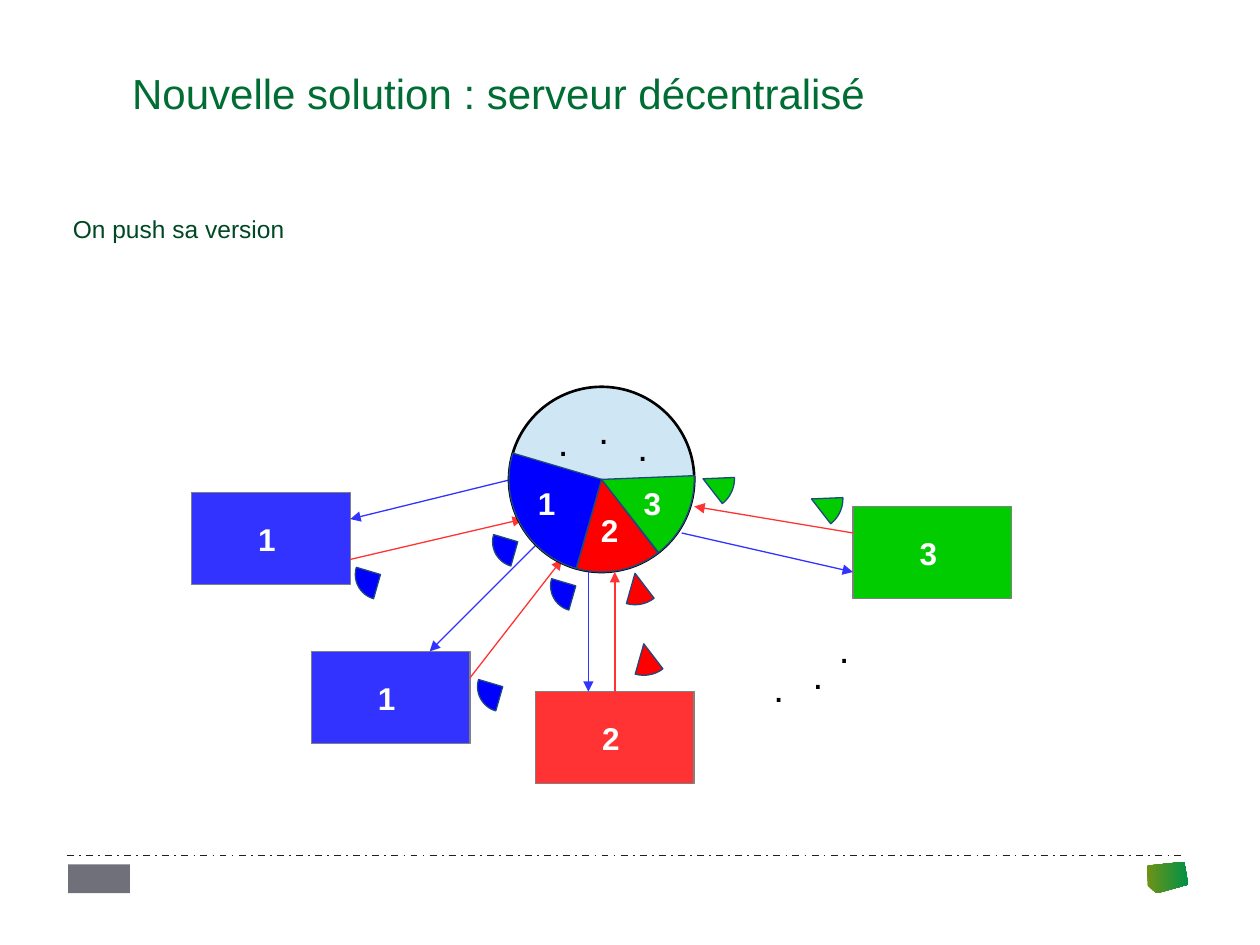
import pptx
import pptx.util
import pptx.dml.color
import pptx.enum.dml
import pptx.enum.shapes
import pptx.oxml.ns
import lxml.etree

Inches = pptx.util.Inches
Shapes = pptx.enum.shapes.MSO_SHAPE

COLORS = {
    "title": "006D34", "body": "004823", "white": "FFFFFF", "black": "000000",
    "push": "FF3333", "pull": "3333FF", "border": "808080", "slice_line": "1F497D",
    "server": "CFE7F5", "rule": "231F20", "logo": "70707A",
    "olive": "709216", "green": "009146",
}
CLIENT_FILLS = {"1": "3333FF", "2": "FF3333", "3": "00CC00"}
SLICE_FILLS = {"1": "0000FF", "2": "FF0000", "3": "00CC00"}
SLICE_ANGLES = {"1": (105.99, 196.48), "2": (52.59, 105.76), "3": (357.72, 52.13)}
DEGREE = 0.6
LABEL_FORMAT = {"size": pptx.util.Pt(18), "bold": True}
DOT_FORMAT = {"size": pptx.util.Pt(22)}


def rgb(hex_string):
    """Return a colour object for a hex string."""
    return pptx.dml.color.RGBColor.from_string(hex_string)


def add_text(slide, box, text, color, font_format, inset=0.05, line_spacing=None):
    """Place one paragraph of Arial text in a box."""
    frame = slide.shapes.add_textbox(*map(Inches, box)).text_frame
    frame_format = {
        "word_wrap": True, "margin_left": Inches(0.1), "margin_right": Inches(0.1),
        "margin_top": Inches(inset), "margin_bottom": Inches(inset),
    }
    for name, value in frame_format.items():
        setattr(frame, name, value)
    paragraph = frame.paragraphs[0]
    paragraph.line_spacing = line_spacing
    run = paragraph.add_run()
    run.text = text
    for name, value in {"name": "Arial", **font_format}.items():
        setattr(run.font, name, value)
    run.font.color.rgb = rgb(color)


def add_block(slide, kind, box, fill, line=None, width=0.75):
    """Add a filled preset shape with an optional outline."""
    shape = slide.shapes.add_shape(kind, *map(Inches, box))
    shape.shadow.inherit = False
    shape.fill.solid()
    shape.fill.fore_color.rgb = rgb(fill)
    if line:
        shape.line.color.rgb = rgb(line)
        shape.line.width = pptx.util.Pt(width)
    else:
        shape.line.fill.background()
    return shape


def add_line(slide, start, end, color, width=0.75, arrow=True):
    """Add a straight line, with an arrowhead at its end if asked."""
    connector = slide.shapes.add_connector(
        pptx.enum.shapes.MSO_CONNECTOR.STRAIGHT, *map(Inches, (*start, *end)))
    connector.line.color.rgb = rgb(color)
    connector.line.width = pptx.util.Pt(width)
    if arrow:
        outline = connector.line._get_or_add_ln()
        lxml.etree.SubElement(outline, pptx.oxml.ns.qn("a:tailEnd"), type="triangle")
    lxml.etree.SubElement(connector._element.spPr, pptx.oxml.ns.qn("a:effectLst"))
    return connector


def add_slice(slide, left, top, size, number):
    """Add the pie slice that belongs to a version number."""
    shape = add_block(slide, Shapes.PIE, (left, top, size, size),
                      SLICE_FILLS[number], COLORS["slice_line"])
    for index, angle in enumerate(SLICE_ANGLES[number]):
        shape.adjustments[index] = angle * DEGREE


def add_label(slide, left, top, number):
    """Add a bold white version number."""
    add_text(slide, (left, top, 0.31, 0.5), number, COLORS["white"], LABEL_FORMAT, 0.1)


def add_dots(slide, left, top, offsets):
    """Add three dots that stand for further parts."""
    for dx, dy in offsets:
        add_text(slide, (left + dx, top + dy, 0.31, 0.58), ".", COLORS["black"], DOT_FORMAT)


def add_client(slide, left, top, number, push, pull, slices):
    """Draw a client with its push and pull arrows and travelling slices."""
    add_block(slide, Shapes.RECTANGLE, (left, top, 1.26, 0.73),
              CLIENT_FILLS[number], COLORS["border"])
    add_label(slide, left + 0.43, top + 0.12, number)
    for ends, color in ((push, "push"), (pull, "pull")):
        start, end = [(left + dx, top + dy) for dx, dy in ends]
        add_line(slide, start, end, COLORS[color])
    size = 0.4 if number == "1" else 0.5
    for dx, dy in slices:
        add_slice(slide, left + dx, top + dy, size, number)


def add_server(slide, left, top, size):
    """Draw the round server with its three versions."""
    add_block(slide, Shapes.OVAL, (left, top, size, size),
              COLORS["server"], COLORS["black"], 1.5)
    add_dots(slide, left, top, ((0.29, 0.2), (0.61, 0.1), (0.92, 0.24)))
    for number in SLICE_ANGLES:
        add_slice(slide, left, top, size, number)
    for number, dx, dy in (("1", 0.13, 0.67), ("2", 0.63, 0.89), ("3", 0.97, 0.67)):
        add_label(slide, left + dx, top + dy, number)


def add_footer(slide, left, top, width):
    """Draw the dashed rule, the logo block and the green corner mark."""
    rule = add_line(slide, (left, top), (left + width, top), COLORS["rule"], 1, False)
    rule.line.dash_style = pptx.enum.dml.MSO_LINE.DASH_DOT
    add_block(slide, Shapes.RECTANGLE, (left + 0.01, top + 0.07, 0.49, 0.23), COLORS["logo"])
    outline = [(Inches(left + dx), Inches(top + dy)) for dx, dy in (
        (8.87, 0.05), (8.57, 0.08), (8.58, 0.24), (8.65, 0.3), (8.9, 0.23))]
    builder = slide.shapes.build_freeform(*outline[0])
    builder.add_line_segments(outline[1:], close=True)
    mark = builder.convert_to_shape()
    mark.shadow.inherit = False
    mark.line.fill.background()
    mark.fill.gradient()
    mark.fill.gradient_angle = 0
    for stop, color in zip(mark.fill.gradient_stops, ("olive", "green")):
        stop.color.rgb = rgb(COLORS[color])


def main():
    """Build the slide and save it."""
    presentation = pptx.Presentation()
    presentation.slide_width, presentation.slide_height = Inches(10), Inches(7.5)
    slide = presentation.slides.add_slide(presentation.slide_layouts[6])
    add_footer(slide, 0.53, 6.79, 8.88)
    add_text(slide, (0.95, 0.54, 7.98, 0.4), "Nouvelle solution : serveur décentralisé",
             COLORS["title"], {"size": pptx.util.Pt(24)}, line_spacing=0.87)
    add_text(slide, (0.48, 1.68, 8.46, 5), "On push sa version",
             COLORS["body"], {"size": pptx.util.Pt(14)}, line_spacing=0.87)
    add_client(slide, 1.52, 3.91, "1", ((1.26, 0.53), (2.63, 0.21)),
               ((2.52, -0.1), (1.26, 0.21)), ((1.3, 0.45), (2.39, 0.19)))
    add_client(slide, 2.47, 5.17, "1", ((1.26, 0.21), (1.99, -0.73)),
               ((1.78, -0.84), (0.94, 0)), ((1.32, 0.08), (1.9, -0.72)))
    add_server(slide, 4.04, 3.07, 1.47)
    add_client(slide, 4.25, 5.49, "2", ((0.63, 0), (0.63, -0.95)),
               ((0.42, -0.95), (0.42, 0)), ((0.61, -0.63), (0.54, -1.19)))
    add_client(slide, 6.77, 4.02, "3", ((0, 0.21), (-1.26, 0)),
               ((-1.36, 0.21), (0, 0.52)), ((-0.58, -0.31), (-1.44, -0.47)))
    add_dots(slide, 6.04, 4.91, ((0, 0.31), (0.31, 0.21), (0.52, 0)))
    presentation.save("out.pptx")


if __name__ == "__main__":
    main()
